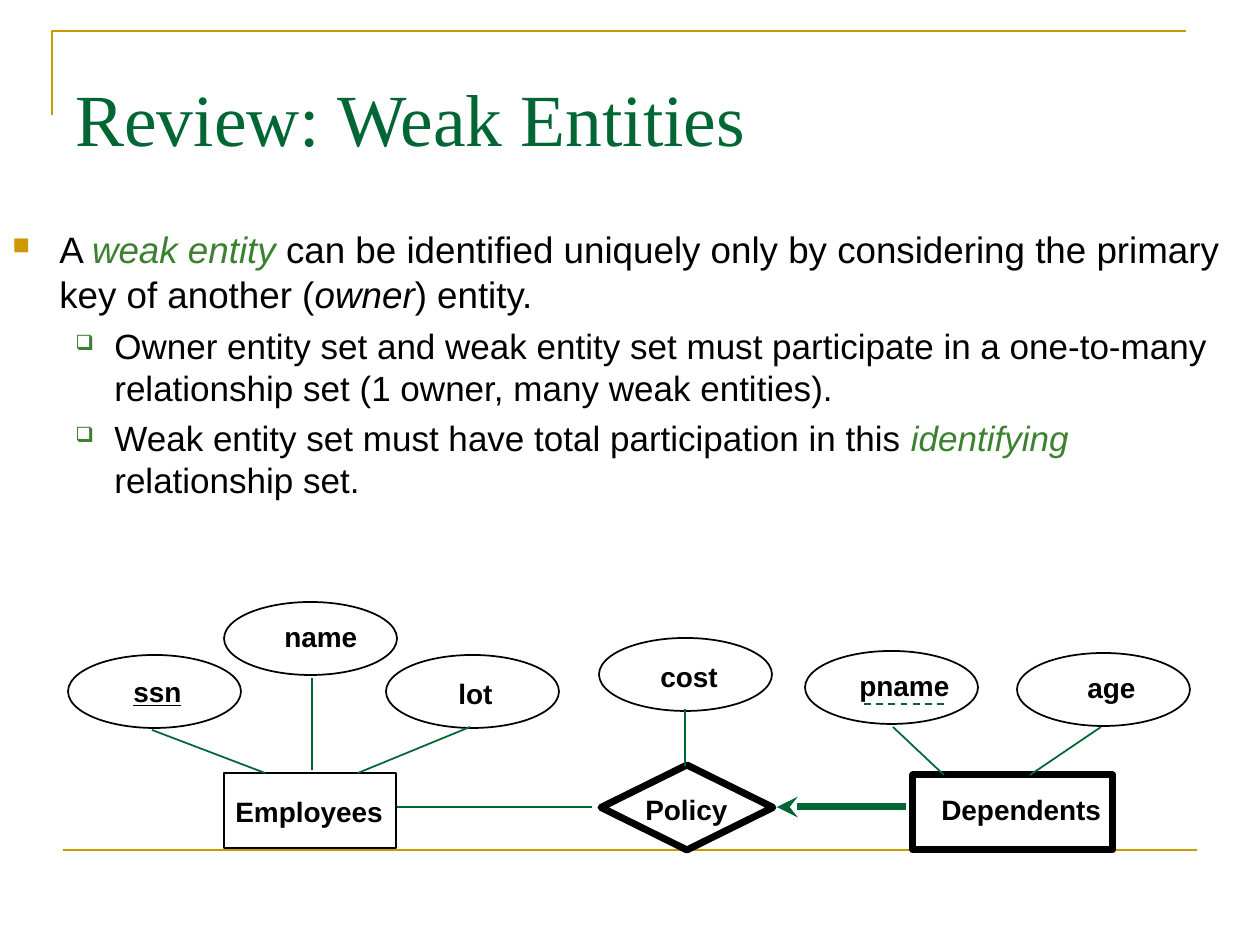
from dataclasses import dataclass

from lxml import etree
from pptx import Presentation
from pptx import util as u
from pptx.dml.color import RGBColor
from pptx.enum import dml, shapes, text
from pptx.oxml import ns

PX = 914400 / 126


@dataclass(frozen=True)
class Theme:
    gold: str = "CC9900"
    green: str = "006633"
    accent: str = "3B812F"
    ink: str = "000000"
    heading_font: str = "Times New Roman"
    body_font: str = "Arial"
    title_size: int = 42
    point_size: int = 21
    subpoint_size: int = 20
    label_size: int = 16
    thin: float = 1
    rule: float = 1.5
    thick: float = 4


THEME = Theme()


def px(length):
    return u.Emu(round(length * PX))


def color(value):
    return RGBColor.from_string(value)


def add_child(parent, tag, **attributes):
    return etree.SubElement(parent, ns.qn(tag), attributes)


def style_line(line, line_color, width):
    line.color.rgb = color(line_color)
    line.width = u.Pt(width)


def write(paragraph, content, size, font=THEME.body_font, ink=THEME.ink,
          bold=False, italic=False, underline=False):
    run = paragraph.add_run()
    run.text = content
    run.font.size = u.Pt(size)
    run.font.name = font
    run.font.color.rgb = color(ink)
    run.font.bold = bold
    run.font.italic = italic
    run.font.underline = underline


def add_text_frame(slide, left, top, width, height, wrap=True,
                   anchor=text.MSO_ANCHOR.TOP):
    frame = slide.shapes.add_textbox(*map(px, (left, top, width, height))).text_frame
    frame.word_wrap = wrap
    frame.vertical_anchor = anchor
    return frame


def add_line(slide, start, end, line_color=THEME.green, width=THEME.thin,
             dashed=False, arrow=False):
    connector = slide.shapes.add_connector(
        shapes.MSO_CONNECTOR.STRAIGHT, *map(px, (*start, *end)))
    style_line(connector.line, line_color, width)
    if dashed:
        connector.line.dash_style = dml.MSO_LINE.DASH
    if arrow:
        add_child(connector.line._get_or_add_ln(), "a:headEnd", type="stealth")
    add_child(connector._element.spPr, "a:effectLst")


def add_outline(slide, kind, left, top, width, height, line_width=THEME.thin):
    shape = slide.shapes.add_shape(kind, *map(px, (left, top, width, height)))
    shape.shadow.inherit = False
    shape.fill.background()
    style_line(shape.line, THEME.ink, line_width)


def add_label(slide, content, left, top, width, underline=False):
    frame = add_text_frame(slide, left, top, width, 45, wrap=False)
    frame.auto_size = text.MSO_AUTO_SIZE.SHAPE_TO_FIT_TEXT
    write(frame.paragraphs[0], content, THEME.label_size, bold=True,
          underline=underline)


def add_attribute(slide, name, left, top, label_left, label_top, label_width,
                  key=False):
    add_outline(slide, shapes.MSO_SHAPE.OVAL, left, top, 173, 73)
    add_label(slide, name, label_left, label_top, label_width, underline=key)


def add_bullet(paragraph, symbol, bullet_color, percent, margin, hanging):
    properties = paragraph._p.get_or_add_pPr()
    properties.set("marL", str(px(margin)))
    properties.set("indent", str(-px(hanging)))
    fill = add_child(properties, "a:buClr")
    add_child(fill, "a:srgbClr", val=bullet_color)
    add_child(properties, "a:buSzPct", val=str(percent * 1000))
    add_child(properties, "a:buChar", char=symbol)


def add_frame_rules(slide):
    builder = slide.shapes.build_freeform(52, 115, scale=PX)
    builder.add_line_segments([(52, 31), (1186, 31)], close=False)
    corner = builder.convert_to_shape()
    corner.shadow.inherit = False
    corner.fill.background()
    style_line(corner.line, THEME.gold, THEME.rule)
    add_line(slide, (63, 850), (1197, 850), THEME.gold, THEME.rule)


def add_title(slide):
    frame = add_text_frame(slide, 63, 38, 1134, 158, anchor=text.MSO_ANCHOR.MIDDLE)
    write(frame.paragraphs[0], "Review: Weak Entities", THEME.title_size,
          font=THEME.heading_font, ink=THEME.green)


def add_body(slide):
    frame = add_text_frame(slide, 0, 221, 1250, 683)
    accent = {"ink": THEME.accent, "italic": True}
    point = frame.paragraphs[0]
    add_bullet(point, "■", THEME.gold, 65, 47, 47)
    for content, style in (
        ("A ", {}),
        ("weak entity ", accent),
        ("can be identified uniquely only by considering the primary key of another (", {}),
        ("owner", {"italic": True}),
        (") entity.", {}),
    ):
        write(point, content, THEME.point_size, **style)

    for runs in (
        [("Owner entity set and weak entity set must participate in a one-to-many "
          "relationship set (1 owner, many weak entities).", {})],
        [("Weak entity set must have total participation in this ", {}),
         ("identifying ", accent),
         ("relationship set.", {})],
    ):
        subpoint = frame.add_paragraph()
        subpoint.level = 1
        subpoint.space_before = u.Pt(5)
        add_bullet(subpoint, "❑", THEME.accent, 60, 102, 39)
        for content, style in runs:
            write(subpoint, content, THEME.subpoint_size, **style)


def add_diagram(slide):
    for name, *place in (
        ("name", 224, 602, 272, 613, 100),
        ("lot", 386, 655, 446, 670, 62),
        ("cost", 599, 638, 648, 653, 88),
        ("pname", 805, 651, 847, 662, 117),
        ("age", 1017, 653, 1075, 664, 76),
    ):
        add_attribute(slide, name, *place)
    add_attribute(slide, "ssn", 68, 655, 121, 668, 76, key=True)

    add_outline(slide, shapes.MSO_SHAPE.RECTANGLE, 224, 773, 172, 75)
    add_outline(slide, shapes.MSO_SHAPE.DIAMOND, 601, 765, 172, 85, THEME.thick)
    add_outline(slide, shapes.MSO_SHAPE.RECTANGLE, 913, 775, 200, 75, THEME.thick)
    add_label(slide, "Employees", 223, 788, 175)
    add_label(slide, "Policy", 633, 786, 112)
    add_label(slide, "Dependents", 929, 786, 188)

    for start, end in (
        ((312, 678), (312, 770)),
        ((152, 730), (265, 773)),
        ((470, 727), (358, 773)),
        ((685, 766), (685, 709)),
        ((893, 727), (944, 775)),
        ((1101, 727), (1030, 775)),
        ((592, 807), (397, 807)),
    ):
        add_line(slide, start, end)
    add_line(slide, (944, 704), (859, 704), dashed=True)
    add_line(slide, (777, 807), (906, 807), width=THEME.thick, arrow=True)


def main():
    presentation = Presentation()
    presentation.slide_width = px(1260)
    presentation.slide_height = px(945)
    slide = presentation.slides.add_slide(presentation.slide_layouts[6])
    add_frame_rules(slide)
    add_title(slide)
    add_body(slide)
    add_diagram(slide)
    presentation.save("out.pptx")


if __name__ == "__main__":
    main()
